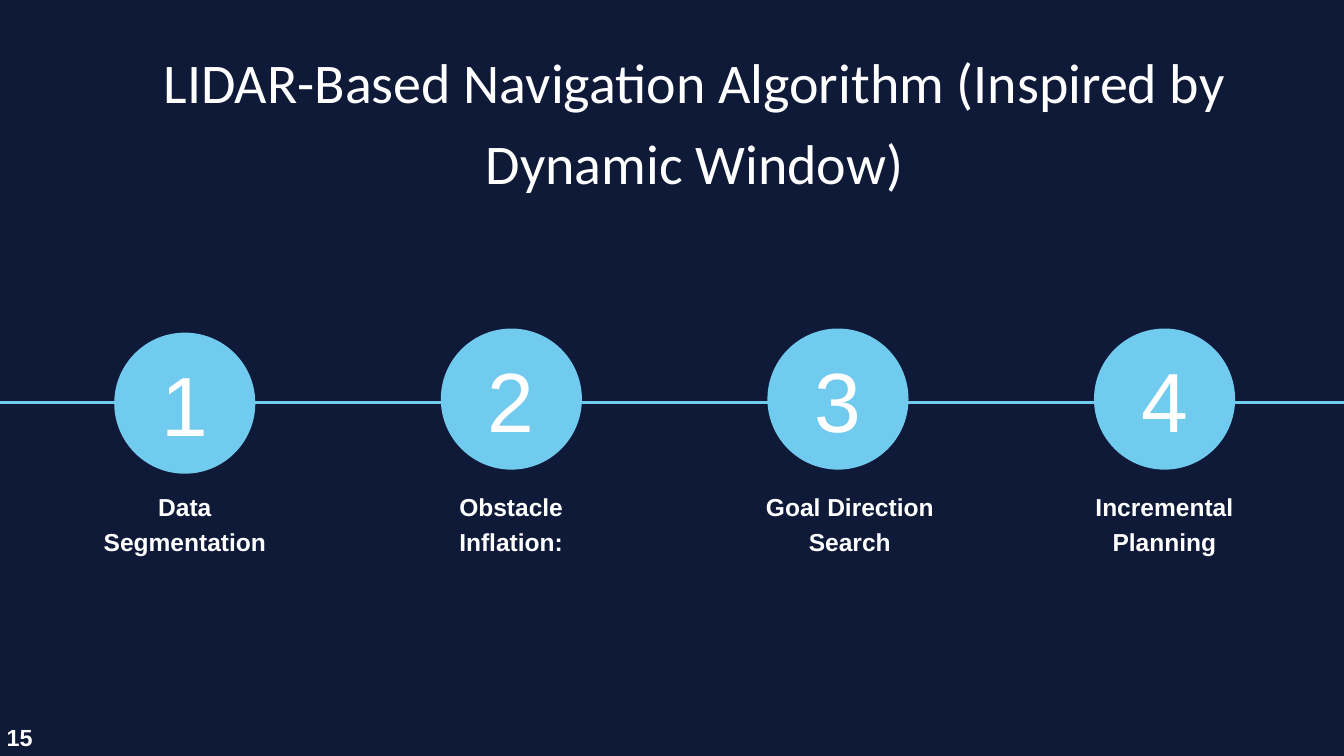
import lxml.etree
import pptx
import pptx.util
import pptx.dml.color
import pptx.enum.shapes
import pptx.enum.text
import pptx.oxml.ns

Pt = pptx.util.Pt
RGB = pptx.dml.color.RGBColor.from_string
ALIGN = pptx.enum.text.PP_ALIGN
ANCHOR = pptx.enum.text.MSO_ANCHOR

TITLE = "LIDAR-Based Navigation Algorithm (Inspired by Dynamic Window)"
PAGE = "15"
STEPS = [
    {"label": "Data Segmentation", "top": 356.4, "label_left": 107.3, "label_width": 181.4},
    {"label": "Obstacle Inflation:", "top": 352, "label_left": 436.3, "label_width": 222.5},
    {"label": "Goal Direction Search", "top": 352, "label_left": 799.2, "label_width": 222.5},
    {"label": "Incremental Planning", "top": 352, "label_left": 1136.2, "label_width": 222.5},
]
THEME = {
    "bg": "0F1A38", "accent": "71CBEF", "text": "FFFFFF",
    "title_font": "Calibri", "font": "Arial",
    "title": 60, "number": 90, "label": 26.3, "page": 25,
}
WIDTH, HEIGHT = 1440, 810
LINE_Y = 431.5
CIRCLE_LEFT, CIRCLE_SIZE, PITCH = 122.4, 151.2, 349.92
LABEL_TOP, LABEL_HEIGHT = 520.6, 76.3


def write(sp, text, size, font, bold=False, align=ALIGN.CENTER,
          anchor=ANCHOR.TOP, inset=(0, 0), spacing=None):
    tf = sp.text_frame
    tf.text = text
    tf.word_wrap = True
    tf.auto_size = pptx.enum.text.MSO_AUTO_SIZE.NONE
    tf.vertical_anchor = anchor
    tf.margin_left = tf.margin_right = Pt(inset[0])
    tf.margin_top = tf.margin_bottom = Pt(inset[1])
    p = tf.paragraphs[0]
    p.alignment = align
    p.space_before = Pt(0)
    if spacing:
        p.line_spacing = spacing
    f = p.runs[0].font
    f.size, f.name, f.bold = Pt(size), font, bold
    f.color.rgb = RGB(THEME["text"])


def add_timeline(s):
    line = s.shapes.add_connector(
        pptx.enum.shapes.MSO_CONNECTOR.STRAIGHT, Pt(0), Pt(LINE_Y), Pt(WIDTH), Pt(LINE_Y))
    line.line.color.rgb = RGB(THEME["accent"])
    line.line.width = Pt(3.75)
    lxml.etree.SubElement(line._element.spPr, pptx.oxml.ns.qn("a:effectLst"))


def add_step(s, i, step):
    sp = s.shapes.add_shape(
        pptx.enum.shapes.MSO_SHAPE.OVAL, Pt(CIRCLE_LEFT + i * PITCH), Pt(step["top"]),
        Pt(CIRCLE_SIZE), Pt(CIRCLE_SIZE))
    sp.shadow.inherit = False
    sp.fill.solid()
    sp.fill.fore_color.rgb = RGB(THEME["accent"])
    sp.line.fill.background()
    write(sp, str(i + 1), THEME["number"], THEME["font"],
          anchor=ANCHOR.MIDDLE, inset=(7.2, 7.2))
    label = s.shapes.add_textbox(
        Pt(step["label_left"]), Pt(LABEL_TOP), Pt(step["label_width"]), Pt(LABEL_HEIGHT))
    write(label, step["label"], THEME["label"], THEME["font"], bold=True, spacing=1.2)


def main():
    prs = pptx.Presentation()
    prs.slide_width, prs.slide_height = Pt(WIDTH), Pt(HEIGHT)
    s = prs.slides.add_slide(prs.slide_layouts[5])
    s.background.fill.solid()
    s.background.fill.fore_color.rgb = RGB(THEME["bg"])

    title = s.shapes.title
    title.left, title.top, title.width, title.height = Pt(105.1), Pt(36.7), Pt(1278), Pt(174.2)
    write(title, TITLE, THEME["title"], THEME["title_font"], spacing=1.2)

    add_timeline(s)
    for i, step in enumerate(STEPS):
        add_step(s, i, step)

    page = s.shapes.add_textbox(Pt(0), Pt(771.1), Pt(61.2), Pt(37.4))
    write(page, PAGE, THEME["page"], THEME["font"], bold=True,
          align=ALIGN.LEFT, inset=(7.2, 3.6))
    prs.save("out.pptx")


if __name__ == "__main__":
    main()
